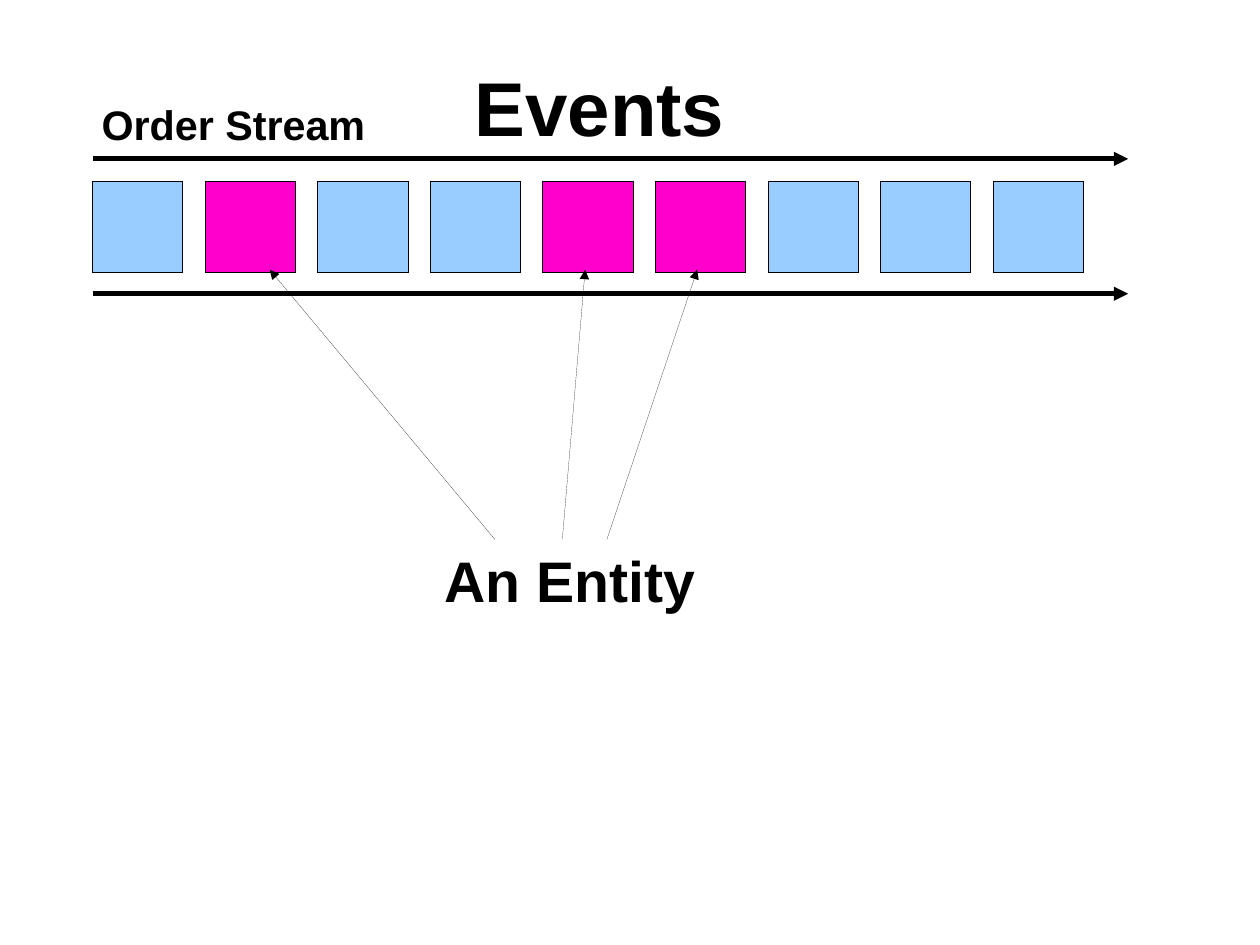
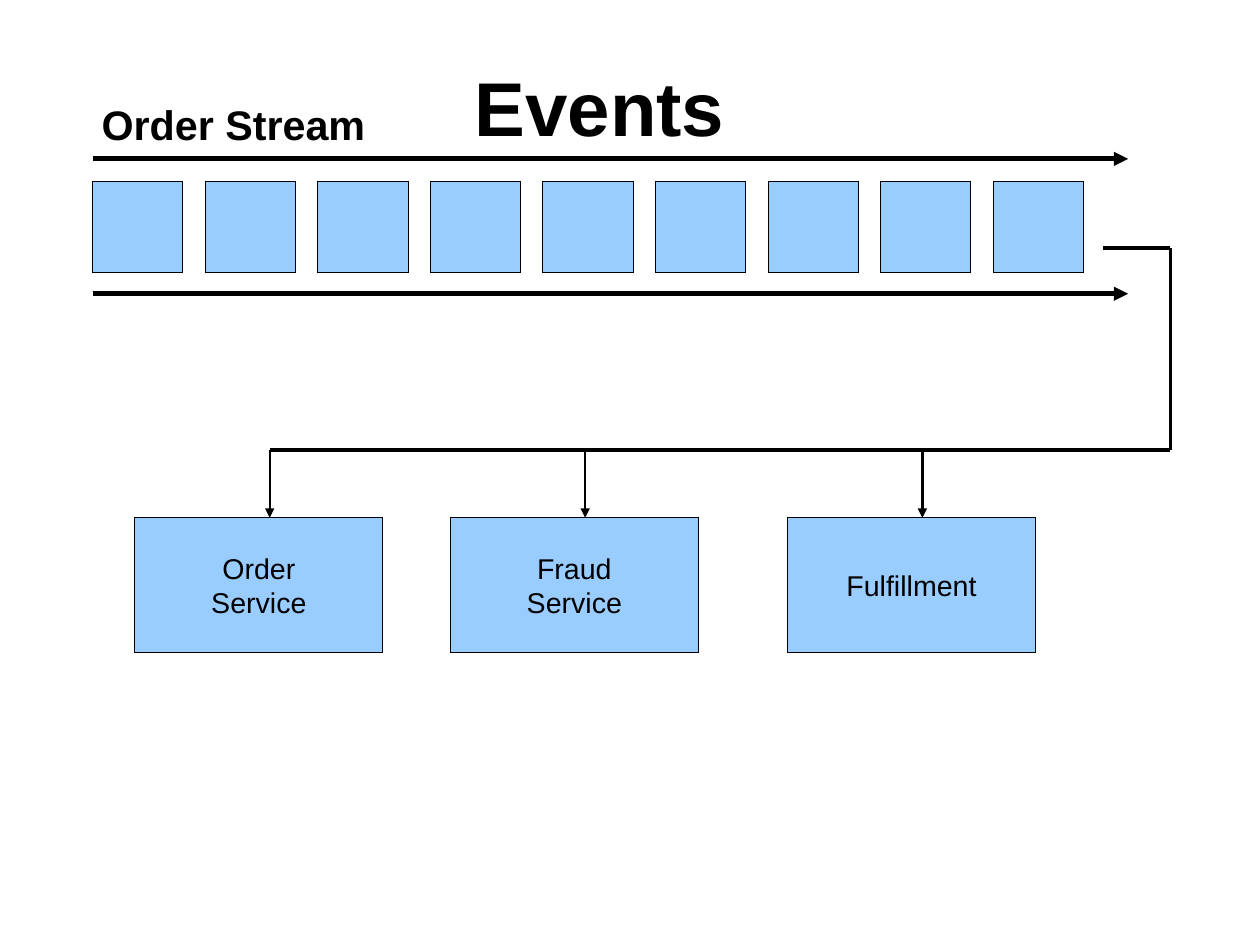
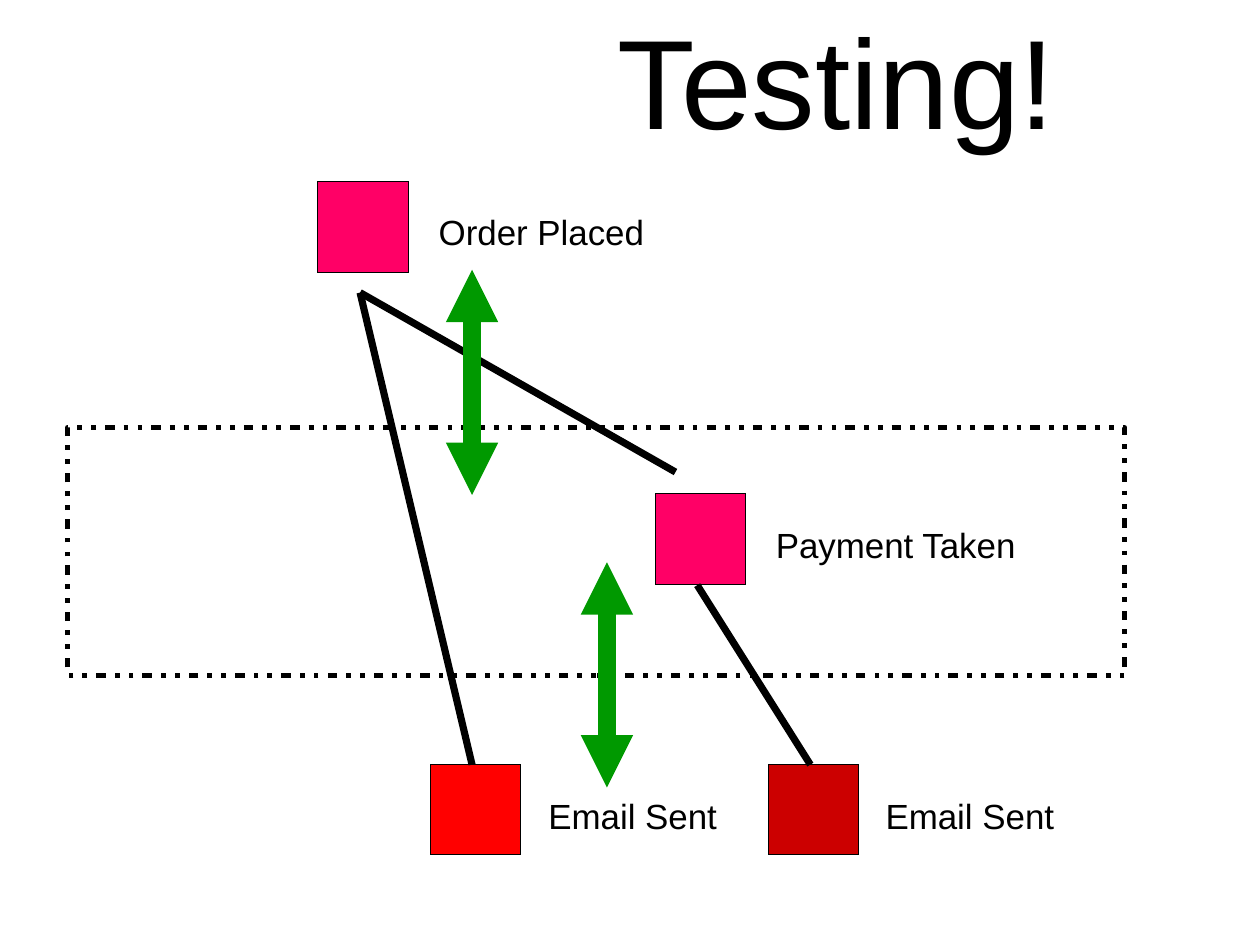
from lxml.etree import SubElement
from pptx import Presentation
from pptx.dml.color import RGBColor
from pptx.enum.shapes import MSO_CONNECTOR, MSO_SHAPE
from pptx.enum.text import MSO_ANCHOR, PP_ALIGN
from pptx.oxml.ns import qn
from pptx.util import Inches, Pt

FONT = "Arial"
BLACK, BLUE, MAGENTA = "000000", "99CCFF", "FF00CC"
PINK, RED, DARK_RED, GREEN = "FF0066", "FF0000", "CC0000", "009900"
CM_PER_INCH = 2.54
SQUARE = 0.79
EVENT_COUNT = 9
FIRST_X, LAST_X, STREAM_Y = 0.81, 8.69, 1.59
PITCH = (LAST_X - FIRST_X) / (EVENT_COUNT - 1)


def rgb(color):
    """Turn a hex string into a colour."""
    return RGBColor.from_string(color)


def write(tf, text, size, bold=False, align=PP_ALIGN.LEFT):
    """Fill a text frame, one paragraph per line of text."""
    tf.word_wrap = True
    tf.text = text
    for p in tf.paragraphs:
        p.alignment = align
        p.font.name = FONT
        p.font.size = Pt(size)
        p.font.bold = bold
        p.font.color.rgb = rgb(BLACK)


def add_text(s, text, x, y, w, h, size, **style):
    """Add a text box."""
    box = s.shapes.add_textbox(Inches(x), Inches(y), Inches(w), Inches(h))
    write(box.text_frame, text, size, **style)


def set_line(sp, width, color=BLACK):
    """Colour a line, write its width even when zero, and return its XML."""
    sp.line.color.rgb = rgb(color)
    ln = sp._element.spPr.find(qn("a:ln"))
    ln.set("w", str(Pt(width)))
    return ln


def add_rect(s, x, y, w, h, fill=None, width=0):
    """Add a black-edged rectangle, hollow when no fill is given."""
    sp = s.shapes.add_shape(MSO_SHAPE.RECTANGLE, Inches(x), Inches(y), Inches(w), Inches(h))
    sp.shadow.inherit = False
    if fill:
        sp.fill.solid()
        sp.fill.fore_color.rgb = rgb(fill)
    else:
        sp.fill.background()
    set_line(sp, width)
    return sp


def add_event(s, column, y, fill):
    """Add an event square in a column of the stream grid."""
    add_rect(s, FIRST_X + column * PITCH, y, SQUARE, SQUARE, fill)


def add_line(s, start, end, width, color=BLACK, ends=()):
    """Add a straight line with triangles at the named ends."""
    points = [Inches(v) for v in (*start, *end)]
    line = s.shapes.add_connector(MSO_CONNECTOR.STRAIGHT, *points)
    ln = set_line(line, width, color)
    for name in ends:
        SubElement(ln, qn(f"a:{name}"), type="triangle")
    SubElement(line._element.spPr, qn("a:effectLst"))


def add_arrow(s, start, end, width):
    """Add a line that points to its end."""
    add_line(s, start, end, width, ends=("tailEnd",))


def add_dashed_frame(s, x, y, w, h, width):
    """Add a hollow frame with a dot-dot-dash edge."""
    sp = add_rect(s, x, y, w, h)
    dashes = SubElement(set_line(sp, width), qn("a:custDash"))
    for length in (100000, 100000, 200000):
        SubElement(dashes, qn("a:ds"), d=str(length), sp="190000")


def add_service(s, text, x):
    """Add a service box with its feed from the bus."""
    sp = add_rect(s, x, 4.53, 2.17, 1.18, BLUE)
    sp.text_frame.vertical_anchor = MSO_ANCHOR.MIDDLE
    write(sp.text_frame, text, 18, align=PP_ALIGN.CENTER)
    add_arrow(s, (x + 1.18, 3.94), (x + 1.18, 4.53), 1.5)


def add_stream(s, marked=()):
    """Add the titled order stream with some events marked."""
    for y in (1.39, 2.57):
        add_arrow(s, (FIRST_X, y), (9.87, y), 3)
    for column in range(EVENT_COUNT):
        add_event(s, column, STREAM_Y, MAGENTA if column in marked else BLUE)
    add_text(s, "Order Stream", 0.79, 0.82, 2.6, 0.5, 26, bold=True)
    add_text(s, "Events", 3.4, 0.48, 3.69, 1.1, 48, bold=True, align=PP_ALIGN.CENTER)


def build_entity(s):
    """Show the events that make up an entity."""
    add_stream(s, marked=(1, 4, 5))
    add_text(s, "An Entity", 3.79, 4.72, 2.6, 0.66, 36, bold=True)
    for x, event_x in ((4.33, 2.36), (4.92, 5.12), (5.31, 6.1)):
        add_arrow(s, (x, 4.72), (event_x, 2.36), 0)


def build_services(s):
    """Show the services fed by the stream."""
    add_stream(s)
    bus = [(9.65, 2.17), (10.24, 2.17), (10.24, 3.94), (2.36, 3.94)]
    for start, end in zip(bus, bus[1:]):
        add_line(s, start, end, 2.3)
    for text, x in (("Order\nService", 1.18), ("Fraud\nService", 3.94), ("Fulfillment", 6.89)):
        add_service(s, text, x)


def build_testing(s):
    """Show the events around the part under test."""
    add_text(s, "Testing!", 3.62, -0.03, 7.4, 1.5, 80, align=PP_ALIGN.CENTER)
    for column, y, fill in ((2, STREAM_Y, PINK), (3, 6.69, RED), (6, 6.69, DARK_RED), (5, 4.32, PINK)):
        add_event(s, column, y, fill)
    placed = (3.15, 2.56)
    for start, end in ((placed, (5.91, 4.13)), (placed, (4.13, 6.69)), ((6.1, 5.12), (7.09, 6.69))):
        add_line(s, start, end, 4.51)
    for text, x, y in (
        ("Order Placed", 3.74, 1.79),
        ("Payment Taken", 6.69, 4.53),
        ("Email Sent", 4.7, 6.9),
        ("Email Sent", 7.65, 6.9),
    ):
        add_text(s, text, x, y, 2.4, 0.44, 22)
    add_dashed_frame(s, 0.59, 3.74, 9.25, 2.17, 3)
    for x, y in ((5.31, 4.92), (4.13, 2.36)):
        add_line(s, (x, y), (x, y + 1.97), 11, GREEN, ("headEnd", "tailEnd"))


def main():
    """Build and save the slides."""
    prs = Presentation()
    prs.slide_width = Inches(28 / CM_PER_INCH)
    prs.slide_height = Inches(21 / CM_PER_INCH)
    for build in (build_entity, build_services, build_testing):
        build(prs.slides.add_slide(prs.slide_layouts[6]))
    prs.save("out.pptx")


main()
